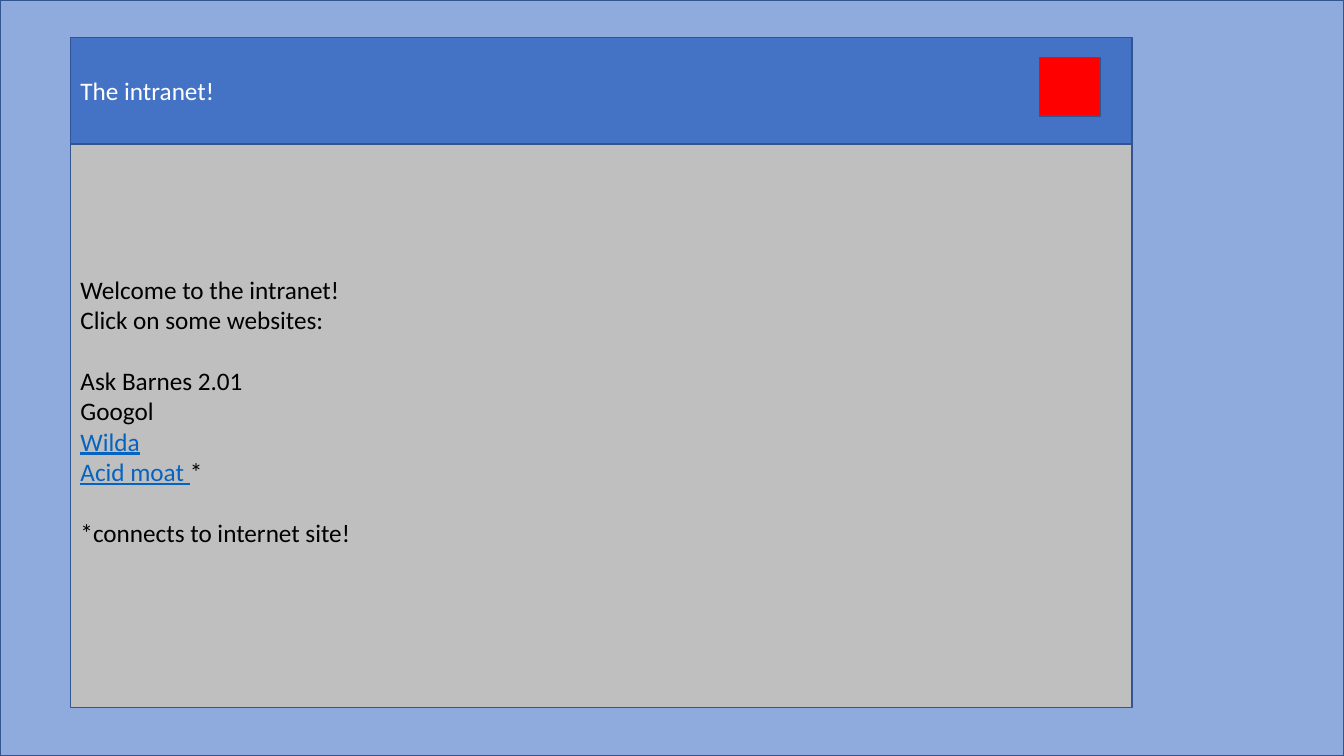
"""Build a slide showing an intranet window on a desktop."""
from dataclasses import dataclass

import pptx
import pptx.dml.color
import pptx.enum.shapes
import pptx.enum.text
import pptx.util

RGBColor = pptx.dml.color.RGBColor
Inches = pptx.util.Inches
Pt = pptx.util.Pt

DESKTOP_BLUE = RGBColor(0x8F, 0xAA, 0xDC)
WINDOW_GREY = RGBColor(0xBF, 0xBF, 0xBF)
TITLE_BLUE = RGBColor(0x44, 0x72, 0xC4)
CLOSE_RED = RGBColor(0xFF, 0x00, 0x00)
OUTLINE_BLUE = RGBColor(0x32, 0x54, 0x91)
LINK_BLUE = RGBColor(0x05, 0x63, 0xC1)
BLACK = RGBColor(0x00, 0x00, 0x00)
WHITE = RGBColor(0xFF, 0xFF, 0xFF)

SLIDE_WIDTH, SLIDE_HEIGHT = 13.33, 7.5
LINE_GAP = 22


@dataclass(frozen=True)
class Panel:
    left: float
    top: float
    width: float
    height: float
    fill: RGBColor


@dataclass(frozen=True)
class TextLine:
    text: str
    suffix: str = ""
    color: RGBColor = BLACK
    underline: bool = False
    space_before: float = 0


DESKTOP = Panel(0, 0, SLIDE_WIDTH, SLIDE_HEIGHT, DESKTOP_BLUE)
PAGE_AREA = Panel(0.7, 1.43, 10.53, 5.59, WINDOW_GREY)
TITLE_BAR = Panel(0.7, 0.37, 10.53, 1.06, TITLE_BLUE)
CLOSE_BUTTON = Panel(10.31, 0.57, 0.6, 0.58, CLOSE_RED)

TITLE_LINES = [TextLine("The intranet!", color=WHITE)]
PAGE_LINES = [
    TextLine("Welcome to the intranet!"),
    TextLine("Click on some websites:"),
    TextLine("Ask Barnes 2.01", space_before=LINE_GAP),
    TextLine("Googol"),
    TextLine("Wilda", color=LINK_BLUE, underline=True),
    TextLine("Acid moat ", suffix="*", color=LINK_BLUE, underline=True),
    TextLine("*connects to internet site!", space_before=LINE_GAP),
]


def add_panel(page: pptx.slide.Slide, panel: Panel) -> pptx.shapes.autoshape.Shape:
    box = page.shapes.add_shape(
        pptx.enum.shapes.MSO_SHAPE.RECTANGLE,
        Inches(panel.left), Inches(panel.top),
        Inches(panel.width), Inches(panel.height),
    )
    box.shadow.inherit = False
    box.fill.solid()
    box.fill.fore_color.rgb = panel.fill
    box.line.color.rgb = OUTLINE_BLUE
    box.line.width = Pt(1)
    return box


def add_span(para: pptx.text.text._Paragraph, text: str, *, color: RGBColor = BLACK,
             underline: bool = False, size: float = 18, font: str = "Calibri") -> None:
    span = para.add_run()
    span.text = text
    span.font.name = font
    span.font.size = Pt(size)
    span.font.color.rgb = color
    span.font.underline = underline


def fill_text(box: pptx.shapes.autoshape.Shape, lines: list[TextLine],
              bottom_inset: float = 0.05) -> None:
    frame = box.text_frame
    frame.word_wrap = True
    frame.vertical_anchor = pptx.enum.text.MSO_ANCHOR.MIDDLE
    frame.margin_bottom = Inches(bottom_inset)
    for index, line in enumerate(lines):
        para = frame.add_paragraph() if index else frame.paragraphs[0]
        para.alignment = pptx.enum.text.PP_ALIGN.LEFT
        if line.space_before:
            para.space_before = Pt(line.space_before)
        add_span(para, line.text, color=line.color, underline=line.underline)
        if line.suffix:
            add_span(para, line.suffix)


def main() -> None:
    deck = pptx.Presentation()
    deck.slide_width = Inches(SLIDE_WIDTH)
    deck.slide_height = Inches(SLIDE_HEIGHT)
    page = deck.slides.add_slide(deck.slide_layouts[6])
    add_panel(page, DESKTOP)
    fill_text(add_panel(page, PAGE_AREA), PAGE_LINES, bottom_inset=0.35)
    fill_text(add_panel(page, TITLE_BAR), TITLE_LINES)
    add_panel(page, CLOSE_BUTTON)
    deck.save("out.pptx")


if __name__ == "__main__":
    main()
